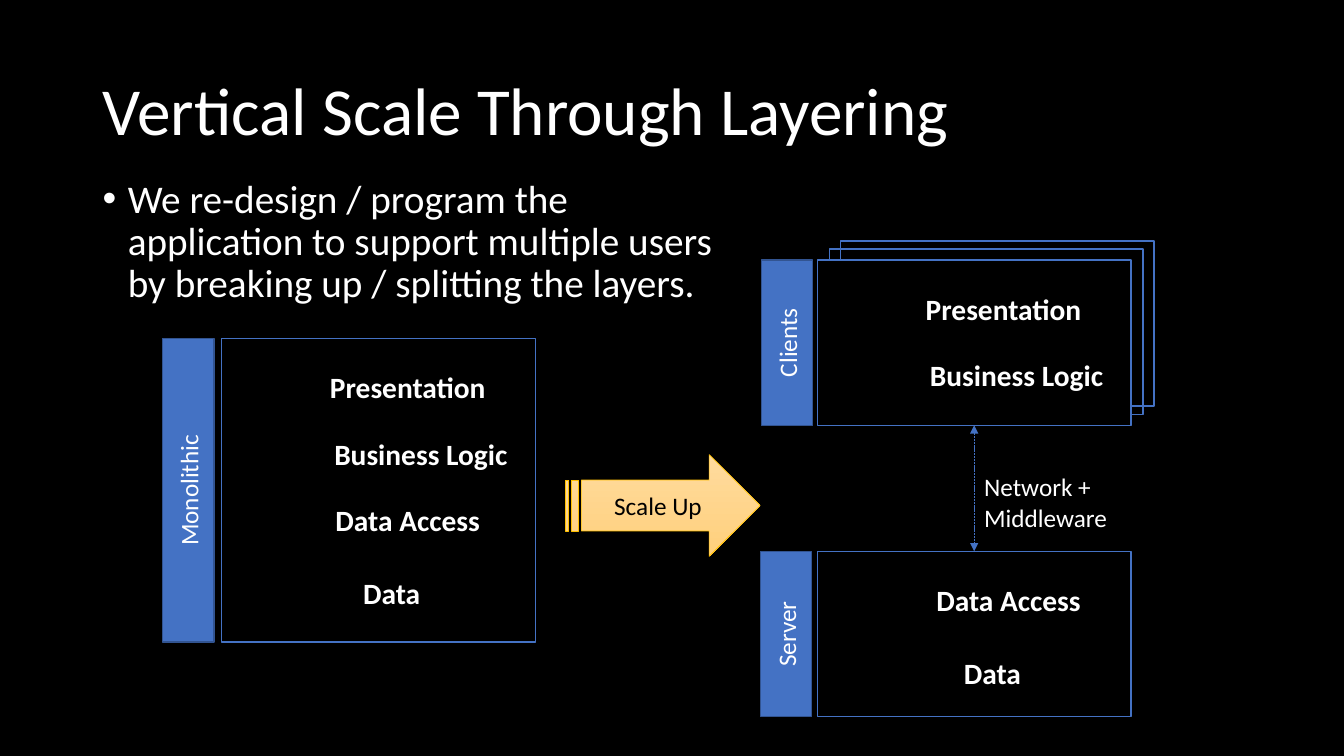
from dataclasses import dataclass

from lxml.etree import SubElement
from pptx import Presentation
from pptx.dml.color import RGBColor
from pptx.enum.dml import MSO_LINE
from pptx.enum.shapes import MSO_CONNECTOR, MSO_SHAPE
from pptx.enum.text import MSO_ANCHOR, PP_ALIGN
from pptx.oxml.ns import qn
from pptx.util import Inches, Pt

WIDTH, HEIGHT = Inches(13.33), Inches(7.5)
COL, ROW = WIDTH / 40, HEIGHT / 30


@dataclass(frozen=True)
class Theme:
    font: str = "Calibri"
    back: str = "000000"
    text: str = "FFFFFF"
    accent: str = "4472C4"
    accent_dark: str = "325491"
    arrow_top: str = "FFDB9E"
    arrow_bottom: str = "FFD07C"
    arrow_line: str = "FFC000"
    title: int = 48
    body: int = 28
    layer: int = 21
    label: int = 18


THEME = Theme()

# Layer name: (column offset in its panel, columns wide, rows below the previous layer)
LAYERS = {
    "Presentation": (2.58, 5.91, 2.64),
    "Business Logic": (2.97, 5.91, 2.64),
    "Data Access": (2.58, 5.91, 2.64),
    "Data": (2.25, 5.61, 2.88),
}


def rgb(value):
    return RGBColor.from_string(value)


def emu(box):
    """Turn a box in columns and rows into slide lengths."""
    x, y, w, h = box
    return round(x * COL), round(y * ROW), round(w * COL), round(h * ROW)


def write(shape, text, size, color=THEME.text, bold=False, frame=None, para=None):
    tf = shape.text_frame
    for name, value in {"word_wrap": True, **(frame or {})}.items():
        setattr(tf, name, value)
    p = tf.paragraphs[0]
    p.text = text
    for name, value in (para or {}).items():
        setattr(p, name, value)
    for r in p.runs:
        font = {"name": THEME.font, "size": Pt(size), "bold": bold}
        for name, value in font.items():
            setattr(r.font, name, value)
        r.font.color.rgb = rgb(color)
    return p


def block(shapes, kind, lengths, line, fill=None, weight=1):
    sp = shapes.add_shape(kind, *lengths)
    sp.shadow.inherit = False
    if fill:
        sp.fill.solid()
        sp.fill.fore_color.rgb = rgb(fill)
    else:
        sp.fill.background()
    sp.line.color.rgb = rgb(line)
    sp.line.width = Pt(weight)
    return sp


def heading(s, box):
    write(s.shapes.add_textbox(*emu(box)), "Vertical Scale Through Layering", THEME.title,
          frame={"vertical_anchor": MSO_ANCHOR.MIDDLE}, para={"line_spacing": 0.9})


def bullet_text(s, box):
    text = ("We re-design / program the\napplication to support multiple users\n"
            "by breaking up / splitting the layers.")
    p = write(s.shapes.add_textbox(*emu(box)), text, THEME.body, para={"line_spacing": 0.9})
    pPr = p._p.get_or_add_pPr()
    pPr.set("marL", str(Inches(0.25)))
    pPr.set("indent", str(-Inches(0.25)))
    SubElement(pPr, qn("a:buFont")).set("typeface", "Arial")
    SubElement(pPr, qn("a:buChar")).set("char", "•")


def panel(s, box, names, shift=0, fill=None):
    """Outlined group of layer names; shift moves the names right by columns."""
    x, y, _, _ = box
    group = s.shapes.add_group_shape()
    frame = block(group.shapes, MSO_SHAPE.RECTANGLE, emu(box), THEME.accent, fill)
    margins = dict.fromkeys(("margin_left", "margin_top", "margin_right", "margin_bottom"), 0)
    top = y + 1.38
    for i, name in enumerate(names):
        dx, width, step = LAYERS[name]
        top += step if i else 0
        tb = group.shapes.add_textbox(*emu((x + dx + shift, top, width, 1.2)))
        write(tb, name, THEME.layer, bold=True, frame=margins,
              para={"alignment": PP_ALIGN.CENTER, "line_spacing": 0.9})
    return frame


def side_tab(s, box, text, gap):
    """Tab read upwards, standing left of the panel box at a gap in columns."""
    x, y, _, h = box
    left, top, width, height = emu((x - gap - 1.53, y, 1.53, h))
    turn = (height - width) // 2
    sp = block(s.shapes, MSO_SHAPE.RECTANGLE, (left - turn, top + turn, height, width),
               THEME.accent_dark, THEME.accent)
    sp.rotation = 270
    write(sp, text, THEME.label, frame={"vertical_anchor": MSO_ANCHOR.MIDDLE},
          para={"alignment": PP_ALIGN.CENTER})


def network_link(s, box, upper, lower):
    x, y, w, h = box
    middle = x + w / 2
    group = s.shapes.add_group_shape()
    left, top, _, height = emu((middle, y, 0, h))
    link = group.shapes.add_connector(MSO_CONNECTOR.STRAIGHT, left, top, left, top + height)
    link.begin_connect(upper, 2)
    link.end_connect(lower, 0)
    link.line.color.rgb = rgb(THEME.accent)
    link.line.width = Pt(0.5)
    link.line.dash_style = MSO_LINE.SQUARE_DOT
    ln = link.line._get_or_add_ln()
    for end in ("a:headEnd", "a:tailEnd"):
        SubElement(ln, qn(end)).set("type", "triangle")
    SubElement(link._element.spPr, qn("a:effectLst"))
    tb = group.shapes.add_textbox(*emu((middle, y + 1.64, 4.29, 2.84)))
    write(tb, "Network +\nMiddleware", THEME.label, frame={"word_wrap": False})


def scale_arrow(s, box):
    sp = block(s.shapes, MSO_SHAPE.STRIPED_RIGHT_ARROW, emu(box), THEME.arrow_line, weight=0.5)
    sp.fill.gradient()
    sp.fill.gradient_angle = 270
    for stop, color in zip(sp.fill.gradient_stops, (THEME.arrow_top, THEME.arrow_bottom)):
        stop.color.rgb = rgb(color)
    for stop, position in zip(sp.fill.gradient_stops, (0, 1)):
        stop.position = position
    write(sp, "Scale Up", THEME.label, THEME.back, frame={"vertical_anchor": MSO_ANCHOR.MIDDLE},
          para={"alignment": PP_ALIGN.CENTER})


def layering_slide(prs):
    s = prs.slides.add_slide(prs.slide_layouts[6])
    s.background.fill.solid()
    s.background.fill.fore_color.rgb = rgb(THEME.back)
    names = list(LAYERS)
    monolith = (6.6, 13.44, 9.33, 12.04)
    clients = (24.33, 10.32, 9.33, 6.56)
    server = (24.33, 21.88, 9.33, 6.56)
    between = (24.33, 16.88, 9.33, 5)

    for x, y in ((25.02, 9.56), (24.69, 9.88)):
        block(s.shapes, MSO_SHAPE.RECTANGLE, emu((x, y, *clients[2:])), THEME.accent)
    heading(s, (2.76, 1.6, 34.5, 5.8))
    bullet_text(s, (2.76, 6.92, 34.5, 20.12))
    panel(s, monolith, names)
    upper = panel(s, clients, names[:2], fill=THEME.back)
    lower = panel(s, server, names[2:], shift=0.15)
    network_link(s, between, upper, lower)
    scale_arrow(s, (16.83, 18.04, 5.79, 4.04))
    side_tab(s, clients, "Clients", 0.14)
    side_tab(s, server, "Server", 0.17)
    side_tab(s, monolith, "Monolithic", 0.23)


def main():
    prs = Presentation()
    prs.slide_width, prs.slide_height = WIDTH, HEIGHT
    layering_slide(prs)
    prs.save("out.pptx")


if __name__ == "__main__":
    main()
